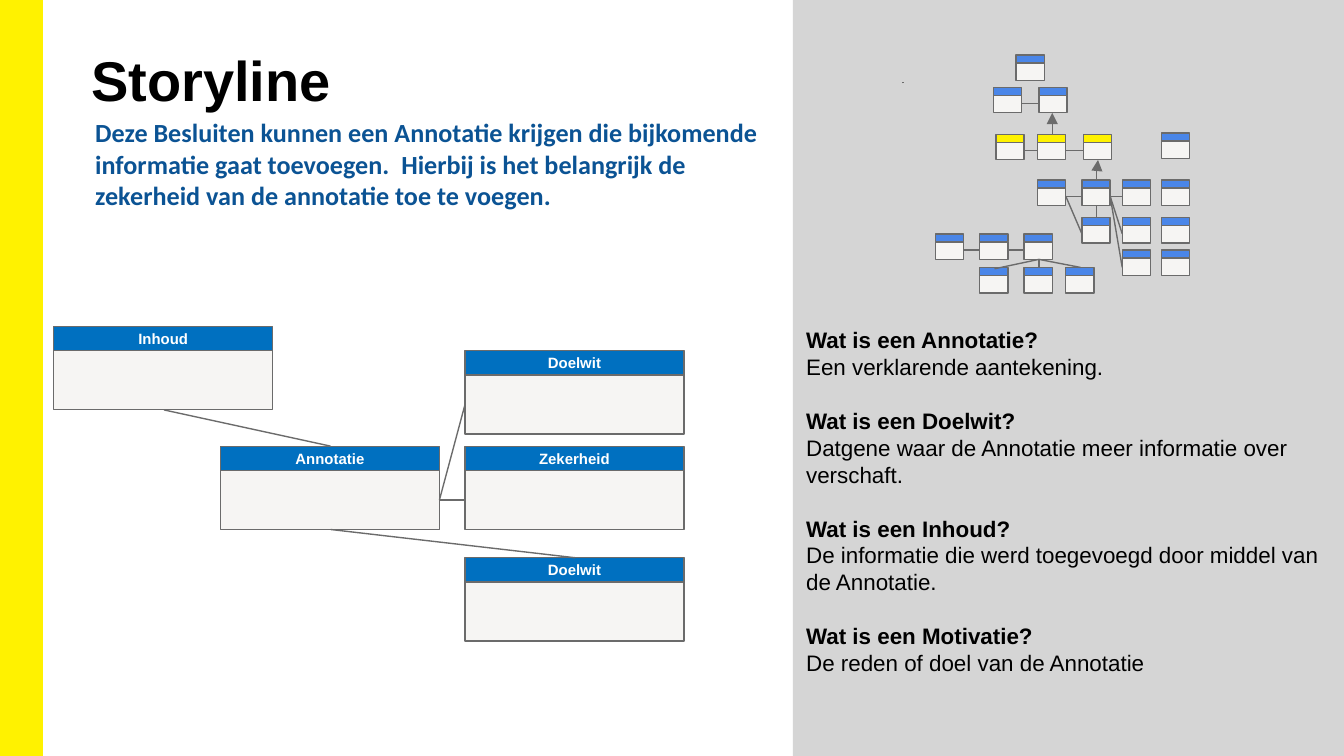
from lxml import etree
from pptx import Presentation
from pptx import util as u
from pptx.dml.color import RGBColor
from pptx.enum import shapes, text
from pptx.oxml.ns import qn

YELLOW = RGBColor(0xFF, 0xF2, 0x00)
PANEL_GREY = RGBColor(0xD5, 0xD5, 0xD5)
CARD_GREY = RGBColor(0xF6, 0xF5, 0xF3)
LINE_GREY = RGBColor(0x6B, 0x6B, 0x6B)
HEADER_BLUE = RGBColor(0x00, 0x70, 0xC0)
MAP_BLUE = RGBColor(0x4A, 0x86, 0xE8)
INTRO_BLUE = RGBColor(0x0B, 0x53, 0x94)
BLACK = RGBColor(0x00, 0x00, 0x00)
WHITE = RGBColor(0xFF, 0xFF, 0xFF)


def write(paragraph, words, size=12, font="Arial", color=BLACK, bold=False,
          align=text.PP_ALIGN.LEFT, before=0, spacing=None):
    paragraph.alignment = align
    paragraph.space_before = u.Pt(before)
    if spacing:
        paragraph.line_spacing = u.Pt(spacing)
    run = paragraph.add_run()
    run.text = words
    run.font.size = u.Pt(size)
    run.font.name = font
    run.font.bold = bold
    run.font.color.rgb = color


def draw_box(parent, left, top, width, height, fill, outline=None):
    box = parent.add_shape(shapes.MSO_SHAPE.RECTANGLE, u.Inches(left), u.Inches(top),
                           u.Inches(width), u.Inches(height))
    box.shadow.inherit = False
    box.fill.solid()
    box.fill.fore_color.rgb = fill
    if outline is None:
        box.line.fill.background()
    else:
        box.line.color.rgb = outline
        box.line.width = u.Pt(0.75)
    return box


prs = Presentation()
prs.slide_width = u.Inches(10)
prs.slide_height = u.Inches(10) * 9 // 16
slide = prs.slides.add_slide(prs.slide_layouts[5])

side_bar = draw_box(slide.shapes, 0, 0, 0.31, 5.62, YELLOW, YELLOW)
side_bar.line.width = u.Pt(1)
panel = draw_box(slide.shapes, 5.9, 0, 4.1, 5.62, PANEL_GREY)
side_bar.height = panel.height = prs.slide_height

definitions = [
    ("Wat is een Annotatie?", "Een verklarende aantekening."),
    ("Wat is een Doelwit?", "Datgene waar de Annotatie meer informatie over verschaft."),
    ("Wat is een Inhoud?", "De informatie die werd toegevoegd door middel van de Annotatie."),
    ("Wat is een Motivatie?", "De reden of doel van de Annotatie"),
]
glossary = panel.text_frame
glossary.word_wrap = True
glossary.vertical_anchor = text.MSO_ANCHOR.TOP
glossary.margin_left = glossary.margin_right = u.Inches(0.1)
glossary.margin_top = u.Inches(2.43)
for i, (question, answer) in enumerate(definitions):
    paragraph = glossary.add_paragraph() if i else glossary.paragraphs[0]
    write(paragraph, question, bold=True, before=14.4 if i else 0, spacing=14.4)
    write(glossary.add_paragraph(), answer, spacing=14.4)

title = slide.shapes.title
title.left, title.top = u.Inches(0.61), u.Inches(0.3)
title.width, title.height = u.Inches(8.97), u.Inches(0.6)
heading = title.text_frame
heading.vertical_anchor = text.MSO_ANCHOR.TOP
heading.margin_left = heading.margin_right = u.Inches(0.07)
heading.margin_top = heading.margin_bottom = u.Inches(0.04)
write(heading.paragraphs[0], "Storyline", size=30, bold=True)

intro = slide.shapes.add_textbox(u.Inches(0.61), u.Inches(0.82),
                                 u.Inches(5.33), u.Inches(0.81)).text_frame
intro.word_wrap = True
write(intro.paragraphs[0],
      "Deze Besluiten kunnen een Annotatie krijgen die bijkomende informatie gaat "
      "toevoegen.  Hierbij is het belangrijk de zekerheid van de annotatie toe te voegen.",
      size=14, font="Calibri", color=INTRO_BLUE, bold=True)

concepts = [("Annotatie", 1.64, 3.32), ("Doelwit", 3.46, 4.15), ("Inhoud", 0.4, 2.43),
            ("Zekerheid", 3.46, 3.32), ("Doelwit", 3.46, 2.61)]
for name, left, top in concepts:
    card = slide.shapes.add_group_shape().shapes
    draw_box(card, left, top + 0.18, 1.63, 0.44, CARD_GREY, LINE_GREY)
    header = draw_box(card, left, top, 1.63, 0.18, HEADER_BLUE, LINE_GREY).text_frame
    header.vertical_anchor = text.MSO_ANCHOR.MIDDLE
    header.margin_top = header.margin_bottom = 0
    write(header.paragraphs[0], name, size=8, color=WHITE, bold=True,
          align=text.PP_ALIGN.CENTER)

map_rows = [
    (0.41, MAP_BLUE, [7.56]),
    (0.65, MAP_BLUE, [7.39, 7.73]),
    (1, YELLOW, [7.41, 7.72, 8.06]),
    (0.99, MAP_BLUE, [8.64]),
    (1.34, MAP_BLUE, [7.72, 8.05, 8.35, 8.64]),
    (1.62, MAP_BLUE, [8.05, 8.35, 8.64]),
    (1.86, MAP_BLUE, [8.35, 8.64]),
    (1.74, MAP_BLUE, [6.96, 7.29, 7.62]),
    (1.99, MAP_BLUE, [7.29, 7.62, 7.93]),
]
for top, header_color, lefts in map_rows:
    for left in lefts:
        card = slide.shapes.add_group_shape().shapes
        draw_box(card, left, top + 0.06, 0.21, 0.13, CARD_GREY, LINE_GREY)
        draw_box(card, left, top, 0.21, 0.06, header_color, LINE_GREY)

concept_links = [(2.46, 3.94, 4.28, 4.15), (1.22, 3.05, 2.46, 3.32),
                 (3.46, 3.01, 3.27, 3.72), (3.46, 3.72, 3.27, 3.72)]
map_links = [
    (7.29, 1.86, 7.17, 1.86), (7.62, 1.86, 7.5, 1.86),
    (7.73, 1.93, 7.4, 2), (7.73, 1.93, 7.73, 1.99), (7.73, 1.93, 8.04, 1.99),
    (7.73, 0.77, 7.6, 0.77), (6.72, 0.62, 6.72, 0.61),
    (7.72, 1.12, 7.62, 1.12), (8.06, 1.12, 7.93, 1.12),
    (8.35, 1.46, 8.26, 1.46), (8.35, 1.74, 8.26, 1.46), (8.35, 1.99, 8.26, 1.46),
    (8.16, 1.62, 8.16, 1.53), (8.05, 1.74, 7.93, 1.46), (8.05, 1.46, 7.93, 1.46),
]
map_arrows = [(7.75, 0.92, 7.91, 0.92), (8.09, 1.26, 8.24, 1.27)]
for ends in concept_links + map_links + map_arrows:
    is_arrow = ends in map_arrows
    bend = shapes.MSO_CONNECTOR.ELBOW if is_arrow else shapes.MSO_CONNECTOR.STRAIGHT
    link = slide.shapes.add_connector(bend, *[u.Inches(end) for end in ends])
    link.line.color.rgb = LINE_GREY
    link.line.width = u.Pt(0.75)
    properties = link._element.spPr
    if is_arrow:
        properties.find(qn("a:xfrm")).set("rot", str(270 * 60000))
        etree.SubElement(properties.find(qn("a:ln")), qn("a:tailEnd"), type="triangle")
    etree.SubElement(properties, qn("a:effectLst"))

prs.save("out.pptx")
